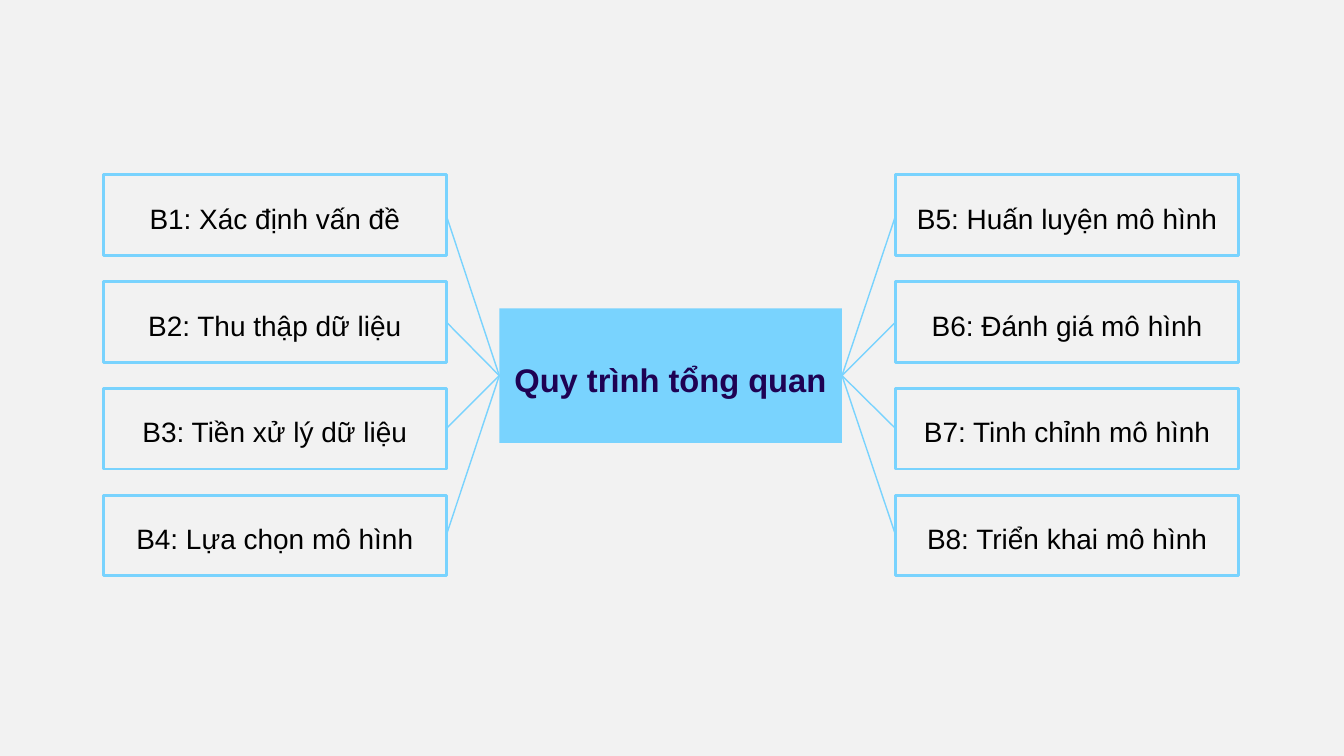
from lxml.etree import SubElement
from pptx import Presentation
from pptx.dml.color import RGBColor
from pptx.enum.shapes import MSO_CONNECTOR, MSO_SHAPE
from pptx.enum.text import MSO_ANCHOR, MSO_AUTO_SIZE, PP_ALIGN
from pptx.oxml.ns import qn
from pptx.util import Inches, Pt

TITLE = "Quy trình tổng quan"
LEFT_STEPS = [
    "B1: Xác định vấn đề",
    "B2: Thu thập dữ liệu",
    "B3: Tiền xử lý dữ liệu",
    "B4: Lựa chọn mô hình",
]
RIGHT_STEPS = [
    "B5: Huấn luyện mô hình",
    "B6: Đánh giá mô hình",
    "B7: Tinh chỉnh mô hình",
    "B8: Triển khai mô hình",
]
BACKGROUND, SKY, NAVY, BLACK = "F2F2F2", "79D3FE", "1E0253", "000000"
FONT = "Arial"

SLIDE_WIDTH, SLIDE_HEIGHT = 20, 11.25
BOX_WIDTH, STEP_HEIGHT, TITLE_HEIGHT = 5.1, 1.2, 2
FIRST_TOP, ROW_PITCH = 2.6, 1.59
TITLE_LEFT, TITLE_TOP = 7.43, 4.59
TOP, LEFT, BOTTOM, RIGHT = range(4)
COLUMNS = [
    (1.54, LEFT_STEPS, LEFT, RIGHT),
    (13.33, RIGHT_STEPS, RIGHT, LEFT),
]


def color(value):
    """Return the colour for a hex string."""
    return RGBColor.from_string(value)


def write_label(shape, text, size, text_color, bold=False):
    """Write one centred label into a shape."""
    frame = shape.text_frame
    frame.word_wrap = True
    frame.auto_size = MSO_AUTO_SIZE.NONE
    frame.vertical_anchor = MSO_ANCHOR.MIDDLE
    frame.margin_left = frame.margin_right = frame.margin_top = Inches(0.06)
    frame.margin_bottom = Inches(0.16)
    paragraph = frame.paragraphs[0]
    paragraph.text = text
    paragraph.alignment = PP_ALIGN.CENTER
    paragraph.line_spacing = 1.38
    paragraph.font.name = FONT
    paragraph.font.size = Pt(size)
    paragraph.font.bold = bold
    paragraph.font.color.rgb = color(text_color)


def place_title(slide):
    """Turn the title placeholder into the central node."""
    title = slide.shapes.title
    title.left, title.top = Inches(TITLE_LEFT), Inches(TITLE_TOP)
    title.width, title.height = Inches(BOX_WIDTH), Inches(TITLE_HEIGHT)
    title.fill.solid()
    title.fill.fore_color.rgb = color(SKY)
    write_label(title, TITLE, 35, NAVY, bold=True)
    return title


def add_step(slide, text, left, top):
    """Add one outlined step box."""
    step = slide.shapes.add_shape(
        MSO_SHAPE.RECTANGLE,
        Inches(left), Inches(top), Inches(BOX_WIDTH), Inches(STEP_HEIGHT),
    )
    step.shadow.inherit = False
    step.fill.background()
    step.line.color.rgb = color(SKY)
    step.line.width = Pt(3)
    write_label(step, text, 30, BLACK)
    return step


def join(slide, title, title_side, step, step_side):
    """Connect the central node to a step."""
    connector = slide.shapes.add_connector(MSO_CONNECTOR.STRAIGHT, 0, 0, 0, 0)
    connector.begin_connect(title, title_side)
    connector.end_connect(step, step_side)
    connector.line.color.rgb = color(SKY)
    connector.line.width = Pt(1.5)
    SubElement(connector._element.spPr, qn("a:effectLst"))


def main():
    """Build and save the process overview."""
    presentation = Presentation()
    presentation.slide_width = Inches(SLIDE_WIDTH)
    presentation.slide_height = Inches(SLIDE_HEIGHT)
    slide = presentation.slides.add_slide(presentation.slide_layouts[5])
    slide.background.fill.solid()
    slide.background.fill.fore_color.rgb = color(BACKGROUND)
    title = place_title(slide)
    for left, steps, title_side, step_side in COLUMNS:
        for row, text in enumerate(steps):
            step = add_step(slide, text, left, FIRST_TOP + row * ROW_PITCH)
            join(slide, title, title_side, step, step_side)
    presentation.save("out.pptx")


if __name__ == "__main__":
    main()
